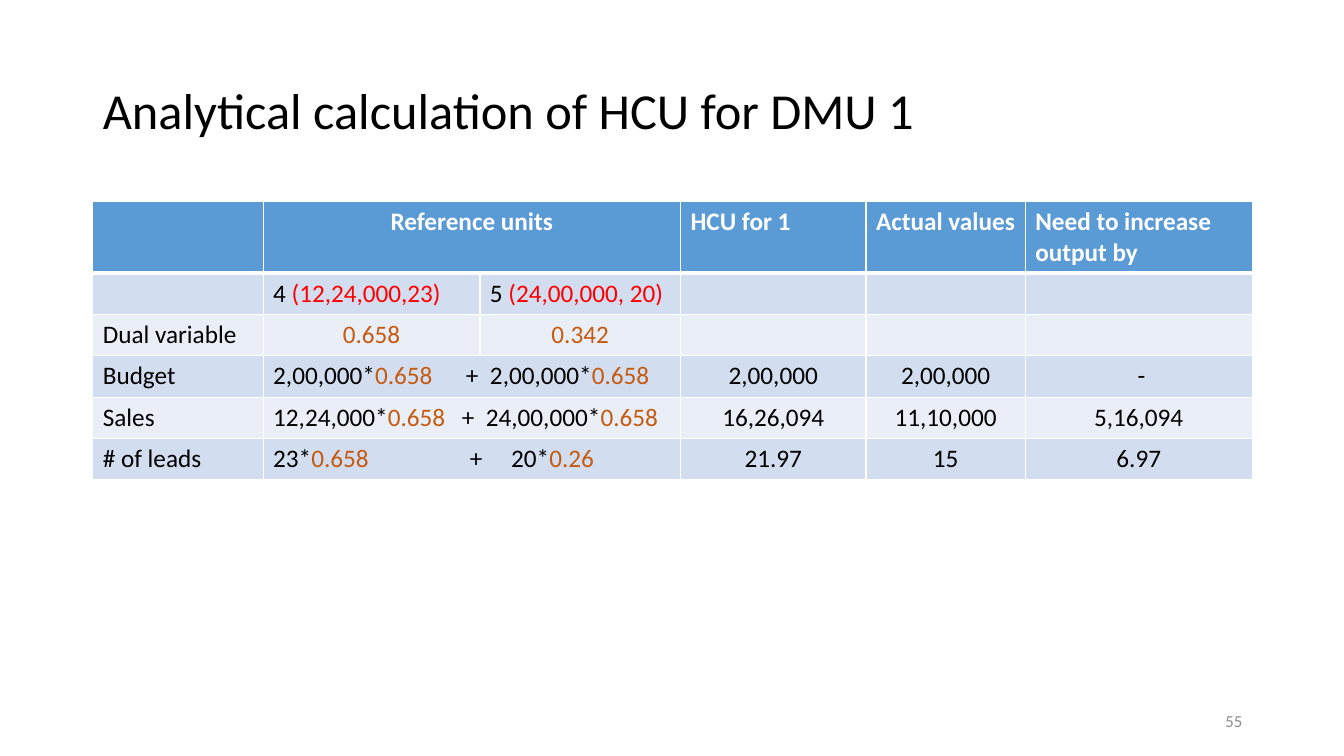
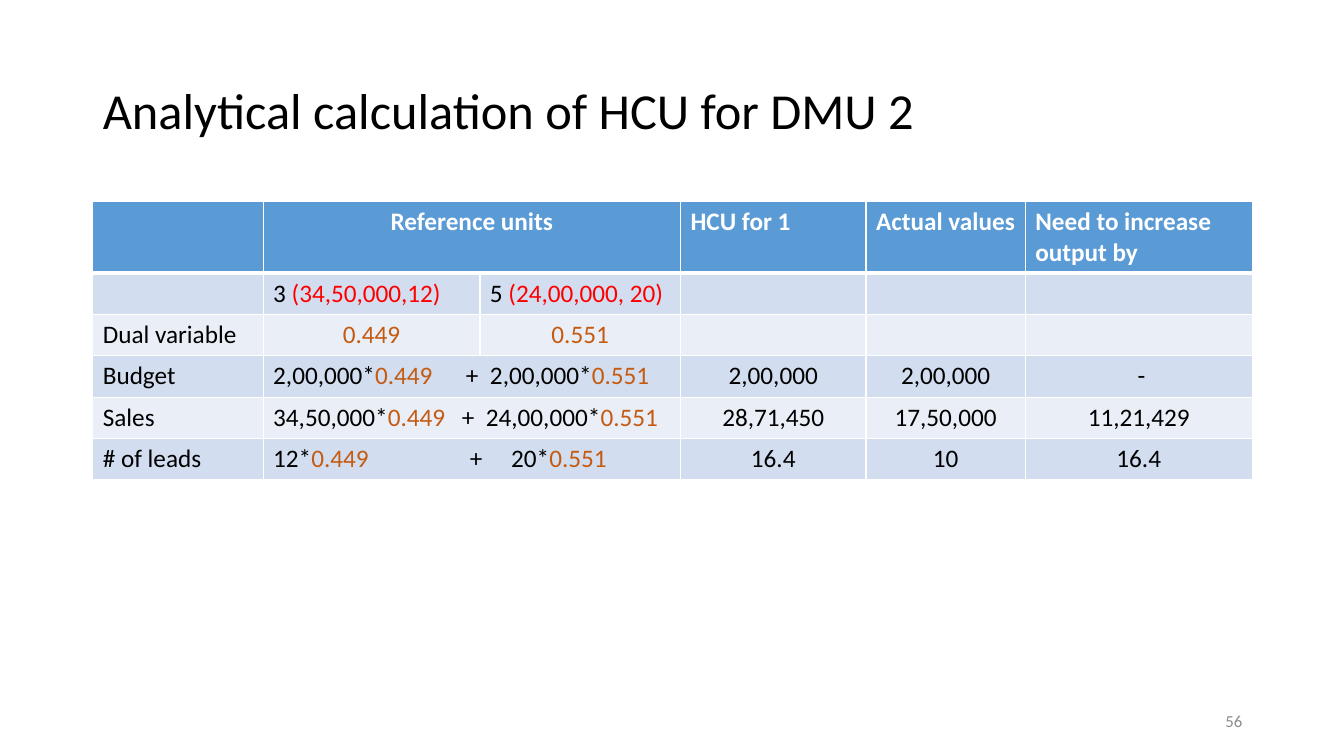
from lxml import etree
from pptx import Presentation
from pptx.dml.color import RGBColor
from pptx.enum import text
from pptx.oxml import ns
from pptx.util import Inches, Pt

FONT = "Calibri"
BLACK, WHITE, RED, ORANGE, GREY = "000000", "FFFFFF", "FF0000", "C55A11", "8C8C8C"
HEADER_FILL, BAND_FILLS = "5B9BD5", ("D2DEEF", "EAEFF7")
TITLE_BOX = (0.92, 0.4, 11.5, 1.45)
TABLE_BOX = (0.92, 2, 11.5, 2.75)
NUMBER_BOX = (9.42, 6.95, 3, 0.4)
COLUMN_WIDTHS = (1.69, 2.15, 1.99, 1.84, 1.58, 2.25)
HEADER_HEIGHT = 0.7
HEADINGS = ("", "Reference units", "", "HCU for 1", "Actual values", "Need to increase output by")
LABELS = ("Budget", "Sales", "# of leads")
FORMULA_TABS = ((1.91, 2.15), (1.87, 2.11), (1.95, 2.36))
LEFT, CENTER, RIGHT = text.PP_ALIGN.LEFT, text.PP_ALIGN.CENTER, text.PP_ALIGN.RIGHT

SLIDES = (
    {
        "title": "Analytical calculation of HCU for DMU 1",
        "number": "55",
        "units": (("4 ", "(12,24,000,23)"), ("5 ", "(24,00,000, 20)")),
        "duals": ("0.658", "0.342"),
        "formulas": (
            ("2,00,000*", "0.658", "2,00,000*", "0.658"),
            ("12,24,000*", "0.658", "24,00,000*", "0.658"),
            ("23*", "0.658", "20*", "0.26"),
        ),
        "results": (
            ("2,00,000", "2,00,000", " -"),
            ("16,26,094", "11,10,000", "5,16,094"),
            ("21.97", "15", "6.97"),
        ),
    },
    {
        "title": "Analytical calculation of HCU for DMU 2",
        "number": "56",
        "units": (("3 ", "(34,50,000,12)"), ("5 ", "(24,00,000, 20)")),
        "duals": ("0.449", "0.551"),
        "formulas": (
            ("2,00,000*", "0.449", "2,00,000*", "0.551"),
            ("34,50,000*", "0.449", "24,00,000*", "0.551"),
            ("12*", "0.449", "20*", "0.551"),
        ),
        "results": (
            ("2,00,000", "2,00,000", " -"),
            ("28,71,450", "17,50,000", "11,21,429"),
            ("16.4", "10", "16.4"),
        ),
    },
)


def color(value):
    """Turn a hex string into a colour."""
    return RGBColor.from_string(value)


def write(frame, runs, size=18, align=LEFT, bold=False):
    """Write (wording, colour) runs into the first paragraph of a frame."""
    paragraph = frame.paragraphs[0]
    paragraph.alignment = align
    for wording, tint in runs:
        run = paragraph.add_run()
        run.text = wording
        run.font.name = FONT
        run.font.size = Pt(size)
        run.font.bold = bold
        run.font.color.rgb = color(tint)
    return paragraph


def set_tabs(paragraph, positions):
    """Give a paragraph left tab stops, in inches."""
    tabs = etree.SubElement(paragraph._p.get_or_add_pPr(), ns.qn("a:tabLst"))
    for position in positions:
        etree.SubElement(tabs, ns.qn("a:tab"), pos=str(Inches(position)), algn="l")


def set_borders(cell, top=1, bottom=1):
    """Draw white borders on the four sides of a cell."""
    properties = cell._tc.get_or_add_tcPr()
    widths = (("L", 1), ("R", 1), ("T", top), ("B", bottom))
    for index, (side, width) in enumerate(widths):
        line = etree.Element(ns.qn(f"a:ln{side}"), w=str(Pt(width)))
        fill = etree.SubElement(line, ns.qn("a:solidFill"))
        etree.SubElement(fill, ns.qn("a:srgbClr"), val=WHITE)
        properties.insert(index, line)


def add_title(slide, box, wording):
    """Place and fill the slide title."""
    title = slide.shapes.title
    title.left, title.top, title.width, title.height = map(Inches, box)
    title.text_frame.auto_size = text.MSO_AUTO_SIZE.NONE
    title.text_frame.vertical_anchor = text.MSO_ANCHOR.MIDDLE
    write(title.text_frame, [(wording, BLACK)], 36).line_spacing = 0.9


def add_number(slide, box, number):
    """Place the slide number."""
    frame = slide.shapes.add_textbox(*map(Inches, box)).text_frame
    frame.word_wrap = True
    frame.vertical_anchor = text.MSO_ANCHOR.MIDDLE
    write(frame, [(number, GREY)], 12, RIGHT)


def style_grid(table, height):
    """Set the sizes, fills, borders and merged cells of the table."""
    for column, width in zip(table.columns, COLUMN_WIDTHS):
        column.width = Inches(width)
    row_height = (height - HEADER_HEIGHT) / (len(table.rows) - 1)
    for index, row in enumerate(table.rows):
        row.height = Inches(row_height if index else HEADER_HEIGHT)
        for cell in row.cells:
            cell.fill.solid()
            cell.fill.fore_color.rgb = color(BAND_FILLS[(index - 1) % 2] if index else HEADER_FILL)
            set_borders(cell, top=3 if index == 1 else 1, bottom=1 if index else 3)
    for index in (0, 3, 4, 5):
        table.cell(index, 1).merge(table.cell(index, 2))


def add_calculation(slide, box, content):
    """Build the table of reference units, formulas and results."""
    table = slide.shapes.add_table(6, 6, *map(Inches, box)).table
    style_grid(table, box[3])
    for column, heading in enumerate(HEADINGS):
        if heading:
            align = CENTER if column == 1 else LEFT
            write(table.cell(0, column).text_frame, [(heading, WHITE)], align=align, bold=True)
    write(table.cell(2, 0).text_frame, [("Dual variable", BLACK)])
    for column, ((unit, values), dual) in enumerate(zip(content["units"], content["duals"]), 1):
        write(table.cell(1, column).text_frame, [(unit, BLACK), (values, RED)])
        write(table.cell(2, column).text_frame, [(dual, ORANGE)], align=CENTER)
    rows = zip(LABELS, content["formulas"], FORMULA_TABS, content["results"])
    for row, (label, formula, tabs, results) in enumerate(rows, 3):
        first, first_weight, second, second_weight = formula
        write(table.cell(row, 0).text_frame, [(label, BLACK)])
        runs = [(first, BLACK), (first_weight, ORANGE),
                (f"\t+\t{second}", BLACK), (second_weight, ORANGE)]
        set_tabs(write(table.cell(row, 1).text_frame, runs), tabs)
        for column, result in enumerate(results, 3):
            write(table.cell(row, column).text_frame, [(result, BLACK)], align=CENTER)


def add_calculation_slide(presentation, content):
    """Add one slide with a title, a calculation table and a number."""
    slide = presentation.slides.add_slide(presentation.slide_layouts[5])
    add_title(slide, TITLE_BOX, content["title"])
    add_calculation(slide, TABLE_BOX, content)
    add_number(slide, NUMBER_BOX, content["number"])


def main():
    """Build and save the presentation."""
    presentation = Presentation()
    presentation.slide_width = Inches(13.33)
    presentation.slide_height = Inches(7.5)
    for content in SLIDES:
        add_calculation_slide(presentation, content)
    presentation.save("out.pptx")


if __name__ == "__main__":
    main()
